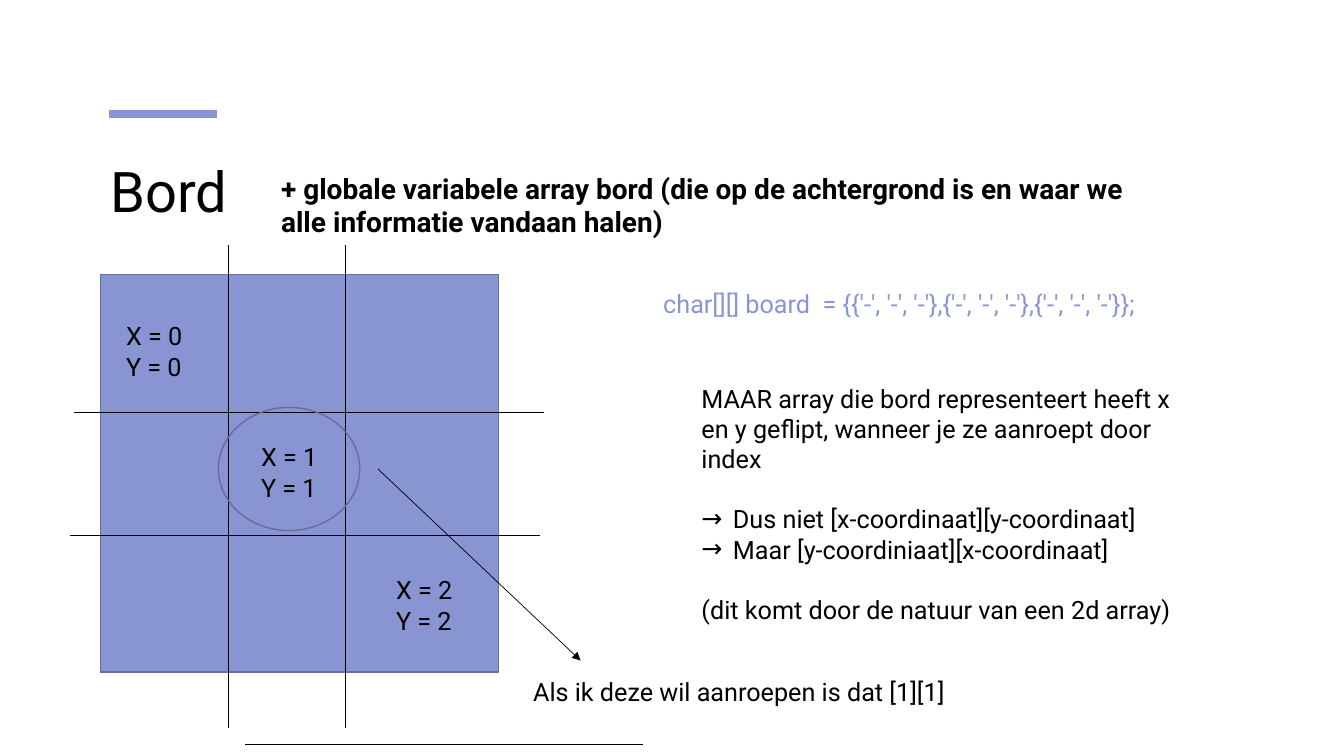
from lxml import etree
from pptx import Presentation
from pptx.dml.color import RGBColor
from pptx.enum.shapes import MSO_CONNECTOR, MSO_SHAPE
from pptx.oxml.ns import qn
from pptx.util import Pt

BLACK, PERIWINKLE, OUTLINE = "000000", "8995D3", "656E9C"
FONT = "Roboto"


def paint(color_format, value):
    color_format.rgb = RGBColor.from_string(value)


def add_line(slide, x1, y1, x2, y2, color=BLACK, width=0.5, arrow=False):
    line = slide.shapes.add_connector(
        MSO_CONNECTOR.STRAIGHT, Pt(x1), Pt(y1), Pt(x2), Pt(y2))
    paint(line.line.color, color)
    line.line.width = Pt(width)
    properties = line._element.spPr
    if arrow:
        etree.SubElement(properties.find(qn("a:ln")), qn("a:tailEnd"), type="triangle")
    etree.SubElement(properties, qn("a:effectLst"))


def add_outlined(slide, kind, box, fill=None):
    shape = slide.shapes.add_shape(kind, *map(Pt, box))
    shape.shadow.inherit = False
    if fill:
        shape.fill.solid()
        paint(shape.fill.fore_color, fill)
    else:
        shape.fill.background()
    paint(shape.line.color, OUTLINE)
    shape.line.width = Pt(1)


def add_text(slide, box, lines, size=18, color=BLACK, bold=False):
    frame = slide.shapes.add_textbox(*map(Pt, box)).text_frame
    frame.word_wrap = True
    for index, text in enumerate(lines):
        paragraph = frame.paragraphs[0] if index == 0 else frame.add_paragraph()
        run = paragraph.add_run()
        run.text = text
        run.font.name, run.font.size, run.font.bold = FONT, Pt(size), bold
        paint(run.font.color, color)
    return frame.paragraphs


def add_bullet(paragraph, character, indent):
    properties = paragraph._p.get_or_add_pPr()
    properties.set("marL", str(Pt(indent)))
    properties.set("indent", str(-Pt(indent)))
    etree.SubElement(properties, qn("a:buFont"), typeface=FONT)
    etree.SubElement(properties, qn("a:buChar"), char=character)


def draw_header(slide, left, top, width):
    add_line(slide, left + 6, top - 26.5, left + 83, top - 26.5, PERIWINKLE, 6)
    add_text(slide, (left, top, 120, 60), ["Bord"], size=40)
    add_text(slide, (left + 121.7, top + 10.8, width - 121.7, 55),
             ["+ globale variabele array bord (die op de achtergrond is "
              "en waar we alle informatie vandaan halen)"], size=20, bold=True)


def draw_board(slide, left, top, side):
    add_outlined(slide, MSO_SHAPE.RECTANGLE, (left, top, side, side), PERIWINKLE)
    for x in (91, 175):
        add_line(slide, left + x, top - 21, left + x, top + 324)
    for x, y in ((-19, 98.5), (-22, 186.5)):
        add_line(slide, left + x, top + y, left + x + 335.5, top + y)
    for index, y in enumerate((29.5, 116, 211)):
        add_text(slide, (left + 11 + 96.4 * index, top + y, 64, 51),
                 [f"X = {index}", f"Y = {index}"])
    add_outlined(slide, MSO_SHAPE.OVAL, (left + 84, top + 95, 101, 88))
    add_line(slide, left + 198, top + 139, left + 342.7, top + 275.8, arrow=True)
    add_text(slide, (left + 301.7, top + 283.7, 326, 29),
             ["Als ik deze wil aanroepen is dat [1][1]"])
    add_line(slide, left + 387.4, top + 335.5, left + 103, top + 335.5)


def draw_explanation(slide, left, top, width):
    add_text(slide, (left, top, width, 29),
             ["char[][] board  = {{'-', '-', '-'},{'-', '-', '-'},{'-', '-', '-'}};"],
             color=PERIWINKLE)
    notes = add_text(slide, (left + 27.3, top + 67.7, 352, 181), [
        "MAAR array die bord representeert heeft x en y geflipt, "
        "wanneer je ze aanroept door index",
        "Dus niet [x-coordinaat][y-coordinaat]",
        "Maar [y-coordiniaat][x-coordinaat]",
        "(dit komt door de natuur van een 2d array)"])
    for note in (notes[1], notes[3]):
        note.space_before = Pt(21.5)
    for note in notes[1:3]:
        add_bullet(note, "→", 22.5)


presentation = Presentation()
presentation.slide_width, presentation.slide_height = Pt(960), Pt(540)
slide = presentation.slides.add_slide(presentation.slide_layouts[6])
draw_header(slide, 72, 108, 774)
draw_board(slide, 72, 196, 284)
draw_explanation(slide, 466.7, 202.3, 485)
presentation.save("out.pptx")
